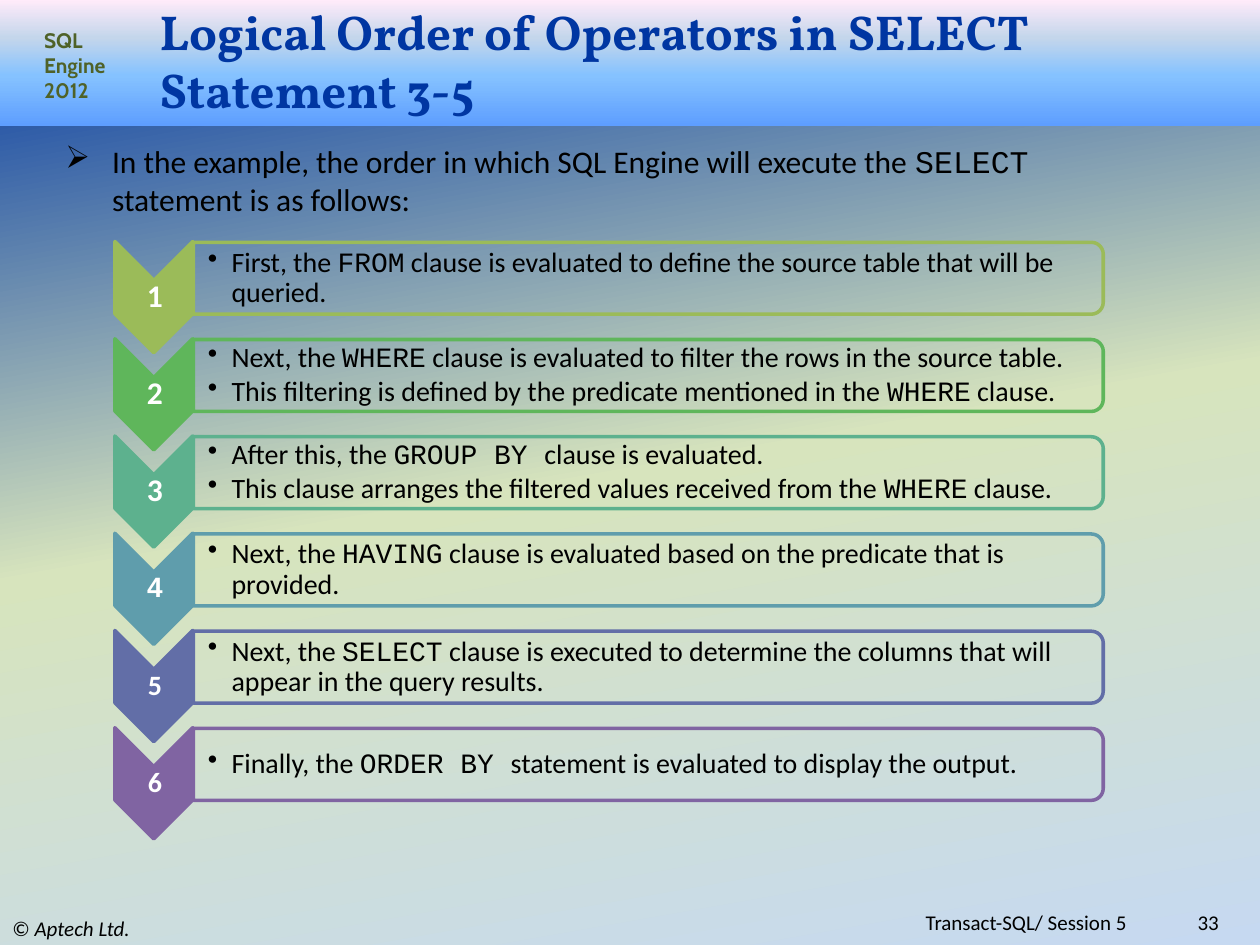
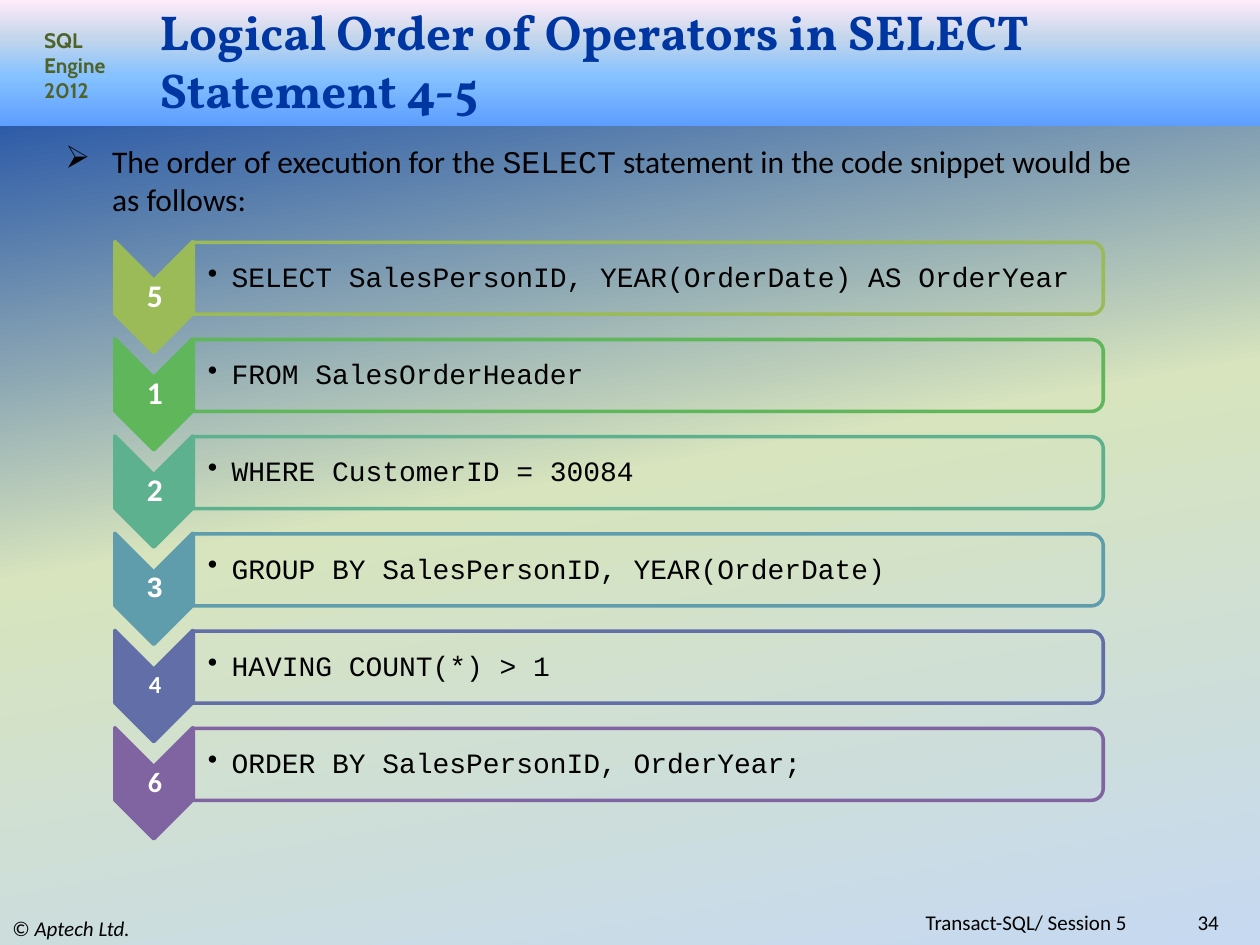
from lxml import etree
from pptx import Presentation
from pptx import util as u
from pptx.dml.color import RGBColor
from pptx.enum import shapes, text
from pptx.oxml import ns

# Shared style
BACKGROUND = [(0, "0036A2"), (50, "D7E4BD"), (100, "C6D9F1")]
BAND = [(0, "5E9EFF"), (40, "85C2FF"), (70, "C4D6EB"), (100, "FFEBFA")]
STEP_COLOURS = ["9BBB59", "5FB65B", "5DB18E", "5F9DAC", "626EA7", "8064A2"]
CODE = {"name": "Courier New"}
BODY = {"name": "Calibri", "size": u.Pt(18), "color": "000000"}
STEP = BODY | {"size": u.Pt(16)}
NUMBER = BODY | {"color": "FFFFFF", "bold": True}
FOOTER = BODY | {"size": u.Pt(12)}
LABEL = {"name": "Cabin", "size": u.Pt(12), "color": "4F6228", "bold": True}
TITLE = {"name": "Vollkorn", "size": u.Pt(28), "color": "0036A2", "bold": True}
MIDDLE = text.MSO_ANCHOR.MIDDLE
RIGHT = {"alignment": text.PP_ALIGN.RIGHT}
CENTRE = {"alignment": text.PP_ALIGN.CENTER, "line_spacing": 0.9}
STEP_LINES = {"line_spacing": 0.9, "space_after": u.Pt(2)}
STEP_PITCH = 1.96
THIN = 0.03


def colour(value):
    return RGBColor.from_string(value)


def set_gradient(fill, element, stops, angle):
    fill.gradient()
    fill.gradient_angle = angle
    stop_list = element.find(".//" + ns.qn("a:gsLst"))
    for child in list(stop_list):
        stop_list.remove(child)
    for position, value in stops:
        stop = etree.SubElement(stop_list, ns.qn("a:gs"), pos=str(position * 1000))
        etree.SubElement(stop, ns.qn("a:srgbClr"), val=value)


def set_bullet(paragraph, character, indent):
    properties = paragraph._p.get_or_add_pPr()
    properties.set("marL", str(u.Cm(indent)))
    properties.set("indent", str(-u.Cm(indent)))
    etree.SubElement(properties, ns.qn("a:buChar"), char=character)


class Deck:
    def __init__(self):
        self.presentation = Presentation()
        self.presentation.slide_width = u.Cm(25.4)
        self.presentation.slide_height = u.Cm(19.05)
        self.slide = None

    def add_slide(self, title, number):
        self.slide = self.presentation.slides.add_slide(self.presentation.slide_layouts[6])
        set_gradient(self.slide.background.fill, self.slide.element, BACKGROUND, 280)
        self.band()
        # Footers and course label
        self.text((0, 18.36, 8.46, 0.69), ["© `Aptech Ltd.`"], FOOTER, MIDDLE,
                  marked={"italic": True})
        self.text((0.64, 0.43, 1.9, 1.8), ["SQL Engine 2012"], LABEL)
        self.text((22.66, 18.36, 2.16, 0.46), [str(number)], FOOTER, MIDDLE, RIGHT)
        self.text((6.35, 18.36, 16.71, 0.46), ["Transact-SQL/ Session 5 "], FOOTER,
                  MIDDLE, RIGHT)
        self.text((2.97, 0.64, 21.16, 1.14), [title], TITLE, MIDDLE)

    def band(self):
        band = self.slide.shapes.add_shape(
            shapes.MSO_SHAPE.RECTANGLE, 0, 0, u.Cm(25.4), u.Cm(2.54))
        band.shadow.inherit = False
        band.line.fill.background()
        set_gradient(band.fill, band.element, BAND, 90)

    def text(self, place, lines, font, anchor=text.MSO_ANCHOR.TOP, layout=None,
             bullet=None, insets=None, marked=CODE):
        """Add a text box; parts between backticks take the marked format."""
        box = self.slide.shapes.add_textbox(*map(u.Cm, place))
        frame = box.text_frame
        frame.word_wrap = True
        frame.vertical_anchor = anchor
        for side, inset in zip(("left", "top", "right", "bottom"), insets or ()):
            setattr(frame, f"margin_{side}", u.Cm(inset))
        for index, line in enumerate(lines):
            paragraph = frame.add_paragraph() if index else frame.paragraphs[0]
            if bullet:
                set_bullet(paragraph, *bullet)
            for name, value in (layout or {}).items():
                setattr(paragraph, name, value)
            for part_index, part in enumerate(line.split("`")):
                if part:
                    run_format = font | marked if part_index % 2 else font
                    self.run(paragraph, part, run_format)

    def run(self, paragraph, words, run_format):
        run = paragraph.add_run()
        run.text = words
        for name, value in run_format.items():
            if name == "color":
                run.font.color.rgb = colour(value)
            else:
                setattr(run.font, name, value)

    def turned_shape(self, kind, centre, width, height, line, fill=None):
        """Add a shape about its centre, turned a quarter clockwise."""
        left, top = centre[0] - width / 2, centre[1] - height / 2
        shape = self.slide.shapes.add_shape(kind, *map(u.Cm, (left, top, width, height)))
        shape.rotation = 90
        shape.shadow.inherit = False
        shape.line.color.rgb = colour(line)
        shape.line.width = u.Pt(2)
        if fill:
            shape.fill.solid()
            shape.fill.fore_color.rgb = colour(fill)
        else:
            shape.fill.background()

    def step(self, row, number, number_format, lines):
        shift = row * STEP_PITCH
        value = STEP_COLOURS[row]
        self.turned_shape(shapes.MSO_SHAPE.CHEVRON, (3.1, 5.99 + shift), 2.24, 1.57,
                          value, value)
        self.text((2.34, 5.66 + shift, 1.57, 0.66), [number], NUMBER | number_format,
                  MIDDLE, CENTRE, insets=[THIN] * 4)
        self.turned_shape(shapes.MSO_SHAPE.ROUND_2_SAME_RECTANGLE, (13.07, 5.61 + shift),
                          1.45, 18.34, value)
        self.text((3.89, 4.95 + shift, 18.26, 1.32), lines, STEP, MIDDLE, STEP_LINES,
                  ("•", 0.48), (0.3, THIN, THIN, THIN))

    def step_slide(self, title, page, introduction, steps, number_formats):
        self.add_slide(title, page)
        self.text((1.07, 2.74, 22.23, 1.8), [introduction], BODY, bullet=("➢", 0.94))
        for row, ((number, lines), number_format) in enumerate(zip(steps, number_formats)):
            self.step(row, number, number_format, lines)


def main():
    deck = Deck()
    large, medium, small = ({"size": u.Pt(size)} for size in (18, 16, 14))
    arial = medium | {"name": "Arial"}

    # Evaluation order in words
    explained = [
        ("1", ["First, the `FROM` clause is evaluated to define the source table "
               "that will be queried."]),
        ("2", ["Next, the `WHERE` clause is evaluated to filter the rows in the source table.",
               "This filtering is defined by the predicate mentioned in the `WHERE` clause."]),
        ("3", ["After this, the `GROUP BY `clause is evaluated.",
               "This clause arranges the filtered values received from the `WHERE` clause."]),
        ("4", ["Next, the `HAVING` clause is evaluated based on the predicate "
               "that is provided."]),
        ("5", ["Next, the `SELECT` clause is executed to determine the columns that "
               "will appear in the query results."]),
        ("6", ["Finally, the `ORDER BY `statement is evaluated to display the output."]),
    ]
    deck.step_slide(
        "Logical Order of Operators in SELECT Statement 3-5", 33,
        "In the example, the order in which SQL Engine will execute the `SELECT` "
        "statement is as follows:",
        explained, [large] * 3 + [arial, medium, medium])

    # Evaluation order of the query lines
    query = [
        ("5", ["`SELECT SalesPersonID, YEAR(OrderDate) AS OrderYear`"]),
        ("1", ["`FROM SalesOrderHeader`"]),
        ("2", ["`WHERE CustomerID = 30084`"]),
        ("3", ["`GROUP BY SalesPersonID, YEAR(OrderDate)`"]),
        ("4", ["`HAVING COUNT(*) > 1`"]),
        ("6", ["`ORDER BY SalesPersonID, OrderYear;`"]),
    ]
    deck.step_slide(
        "Logical Order of Operators in SELECT Statement 4-5", 34,
        "The order of execution for the `SELECT` statement in the code snippet "
        "would be as follows:",
        query, [large] * 3 + [arial, small, medium])

    deck.presentation.save("out.pptx")


if __name__ == "__main__":
    main()
